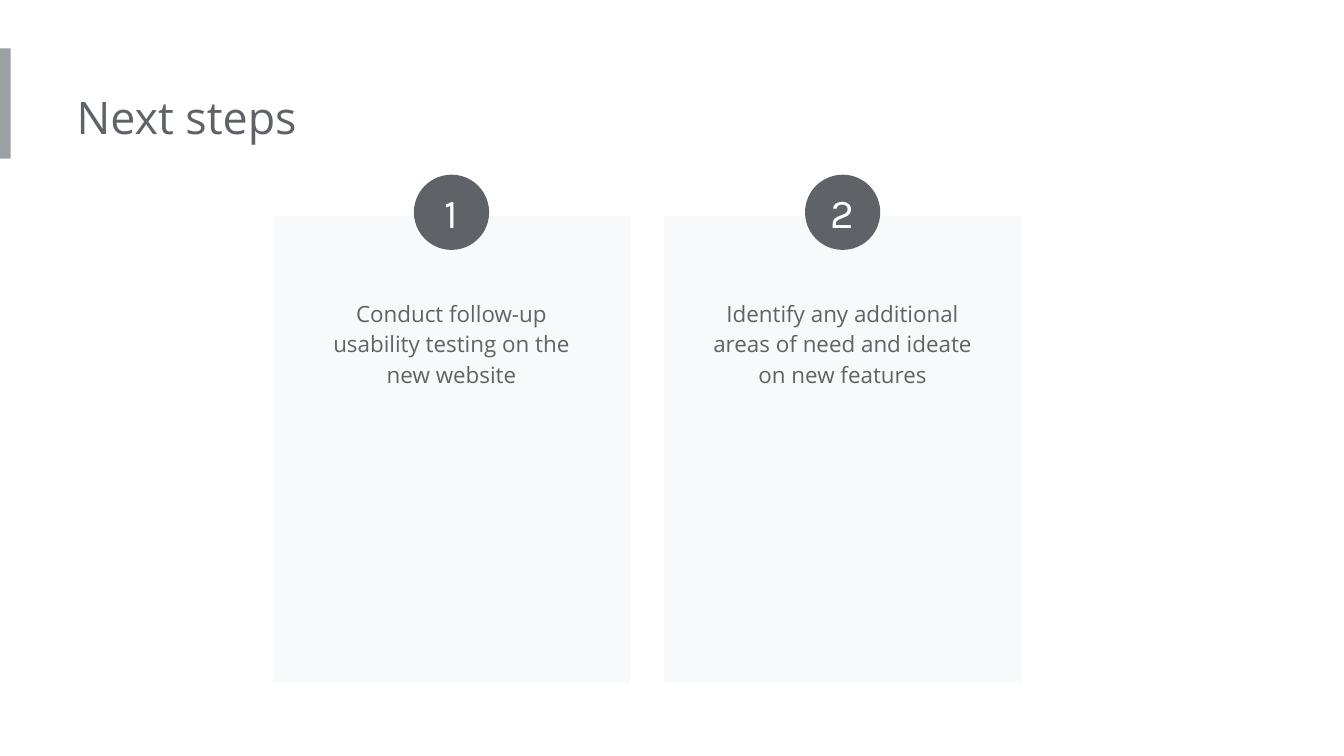
"""Build the "Next steps" slide with its numbered cards."""
from dataclasses import dataclass

from pptx import Presentation
from pptx.dml.color import RGBColor
from pptx.enum.shapes import MSO_SHAPE as Shape
from pptx.enum.text import MSO_ANCHOR as Anchor, PP_ALIGN as Align
from pptx.util import Inches, Pt

GRAY = RGBColor(0x5F, 0x63, 0x68)
ACCENT = RGBColor(0x9A, 0xA0, 0xA6)
PALE = RGBColor(0xF8, 0xF9, 0xFA)
WHITE = RGBColor(0xFF, 0xFF, 0xFF)

SLIDE_W = 10
CARD_LEFT, CARD_TOP, CARD_W, CARD_H = 2.03, 1.61, 2.66, 3.47
CARD_PITCH = 2.91
BODY_W, BADGE = 2.24, 0.56


@dataclass(frozen=True)
class Box:
    left: float
    top: float
    width: float
    height: float

    def emu(self) -> tuple:
        return tuple(Inches(v) for v in (self.left, self.top, self.width, self.height))


@dataclass(frozen=True)
class Step:
    number: int
    text: str


STEPS = [
    Step(1, "Conduct follow-up usability testing on the new website"),
    Step(2, "Identify any additional areas of need and ideate on new features"),
]


def add_filled(slide, kind: Shape, box: Box, color: RGBColor):
    sp = slide.shapes.add_shape(kind, *box.emu())
    sp.shadow.inherit = False
    sp.fill.solid()
    sp.fill.fore_color.rgb = color
    sp.line.fill.background()
    return sp


def set_text(sp, text: str, size: float, font: str, color: RGBColor,
             inset: float = 0.1, align: Align = Align.CENTER):
    tf = sp.text_frame
    tf.word_wrap = True
    tf.margin_left = tf.margin_right = Inches(inset)
    tf.margin_top = tf.margin_bottom = Inches(inset)
    p = tf.paragraphs[0]
    p.text = text
    p.alignment = align
    p.font.size = Pt(size)
    p.font.name = font
    p.font.color.rgb = color
    return tf


def add_card(slide, step: Step, left: float) -> None:
    add_filled(slide, Shape.RECTANGLE, Box(left, CARD_TOP, CARD_W, CARD_H), PALE)
    body = slide.shapes.add_textbox(
        *Box(left + (CARD_W - BODY_W) / 2, 2.1, BODY_W, 0.9).emu())
    tf = set_text(body, step.text, 12, "Open Sans", GRAY)
    tf.paragraphs[0].line_spacing = 1.15
    badge = add_filled(slide, Shape.OVAL,
                       Box(left + (CARD_W - BADGE) / 2, 1.3, BADGE, BADGE), GRAY)
    tf = set_text(badge, str(step.number), 22, "Karla", WHITE, inset=0)
    tf.vertical_anchor = Anchor.MIDDLE


def main() -> None:
    prs = Presentation()
    prs.slide_width, prs.slide_height = Inches(SLIDE_W), Inches(SLIDE_W * 9 / 16)
    s = prs.slides.add_slide(prs.slide_layouts[6])
    add_filled(s, Shape.RECTANGLE, Box(0, 0.36, 0.08, 0.82), ACCENT)
    title = s.shapes.add_textbox(*Box(0.57, 0.57, 5.39, 0.61).emu())
    tf = set_text(title, "Next steps", 24, "Open Sans", GRAY, align=Align.LEFT)
    tf.margin_left = 0
    for i, step in enumerate(STEPS):
        add_card(s, step, CARD_LEFT + i * CARD_PITCH)
    prs.save("out.pptx")


if __name__ == "__main__":
    main()
